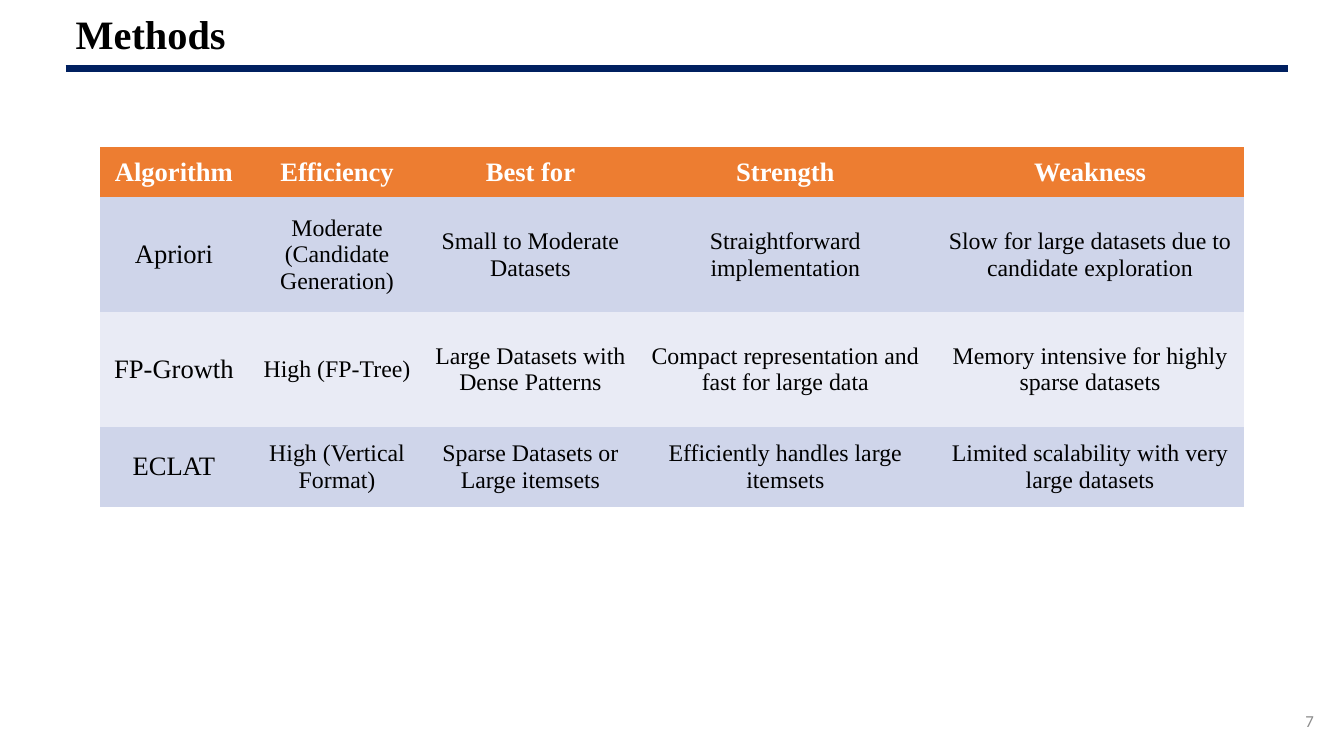
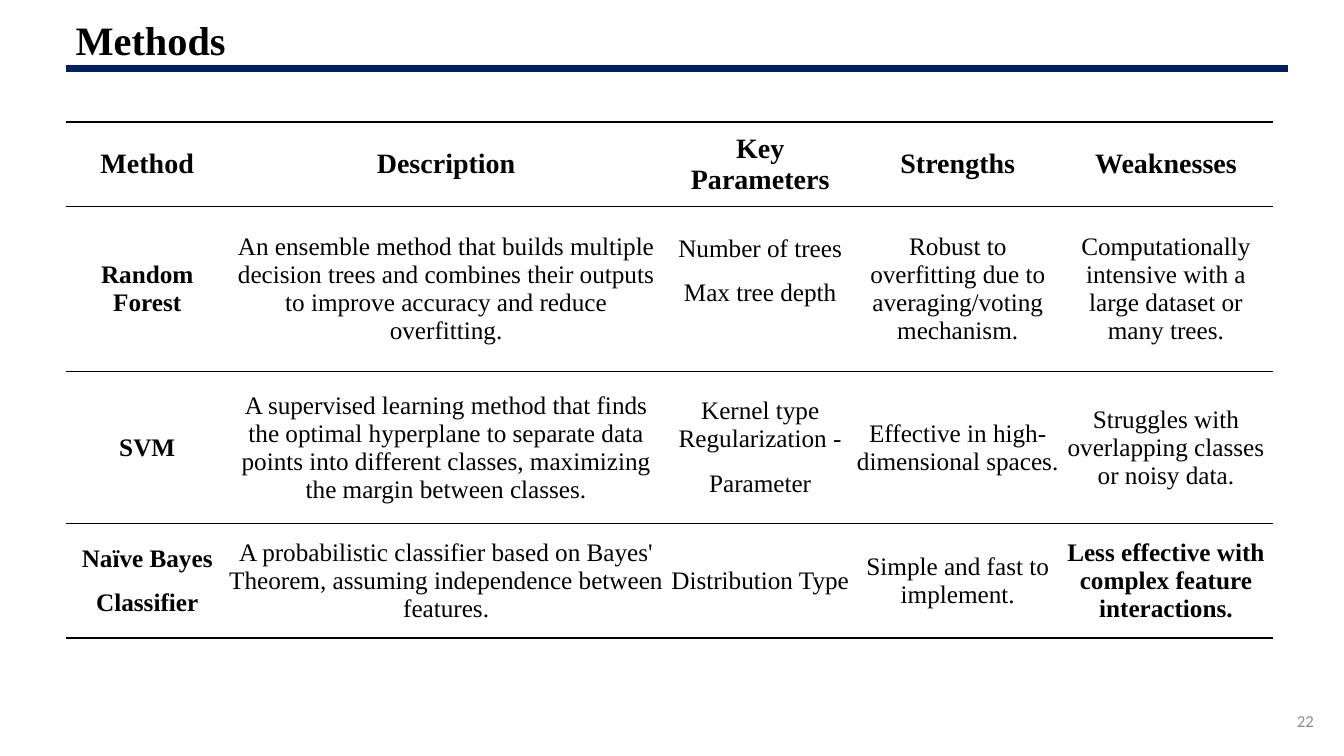
from dataclasses import dataclass

from lxml.etree import SubElement
from pptx import Presentation
from pptx.dml.color import RGBColor
from pptx.enum.shapes import MSO_CONNECTOR
from pptx.enum.text import MSO_ANCHOR, MSO_AUTO_SIZE, PP_ALIGN
from pptx.oxml import parse_xml
from pptx.oxml.ns import nsdecls, qn
from pptx.util import Inches, Pt

NO_TABLE_STYLE = "{2D5ABB26-0587-4C30-8999-92F81FD0307C}"


@dataclass(frozen=True)
class Theme:
    serif: str = "Times New Roman"
    sans: str = "Calibri"
    black: str = "000000"
    white: str = "FFFFFF"
    navy: str = "002060"
    orange: str = "ED7D31"
    gray: str = "8C8C8C"
    bands: tuple = ("CFD5EA", "E9EBF5")
    title_size: float = 28.8
    number_size: float = 12
    rule_width: float = 4.5
    border_width: float = 1


@dataclass(frozen=True)
class TableStyle:
    header_size: float
    label_size: float
    body_size: float
    header_color: str
    header_fill: str
    bands: tuple
    bold_labels: bool
    margins: tuple  # horizontal and vertical, in inches
    border: str = ""


THEME = Theme()
BANDED = TableStyle(19, 19, 17, THEME.white, THEME.orange, THEME.bands,
                    False, (0.07, 0.03))
RULED = TableStyle(20, 18, 18, THEME.black, THEME.white, (THEME.white,),
                   True, (0, 0), THEME.black)


class Deck:
    """Holds the theme and the current slide; lengths are percent of the slide."""

    def __init__(self, theme):
        self.theme = theme
        self.presentation = Presentation()
        self.presentation.slide_width = Inches(13.33)
        self.presentation.slide_height = Inches(7.5)
        self.slide = None

    def across(self, percent):
        return round(self.presentation.slide_width * percent / 100)

    def down(self, percent):
        return round(self.presentation.slide_height * percent / 100)

    def box(self, left, top, width, height):
        return (self.across(left), self.down(top),
                self.across(width), self.down(height))

    def format_text(self, paragraph, size, color, font, bold=False,
                    align=PP_ALIGN.LEFT):
        paragraph.alignment = align
        for run in paragraph.runs:
            run.font.name = font
            run.font.size = Pt(size)
            run.font.bold = bold
            run.font.color.rgb = RGBColor.from_string(color)

    def add_slide(self, title, number, title_top, title_height):
        layout = self.presentation.slide_layouts[5]
        self.slide = self.presentation.slides.add_slide(layout)
        self.add_title(title, title_top, title_height)
        self.add_rule()
        self.add_number(number)

    def add_title(self, text, top, height):
        title = self.slide.shapes.title
        title.left, title.top, title.width, title.height = self.box(
            4.88, top, 78.7, height)
        frame = title.text_frame
        frame.text = text
        frame.auto_size = MSO_AUTO_SIZE.NONE
        frame.vertical_anchor = MSO_ANCHOR.MIDDLE
        paragraph = frame.paragraphs[0]
        paragraph.line_spacing = 0.9
        self.format_text(paragraph, self.theme.title_size, self.theme.black,
                         self.theme.serif, bold=True)

    def add_rule(self):
        height = self.down(9.07)
        rule = self.slide.shapes.add_connector(
            MSO_CONNECTOR.STRAIGHT, self.across(4.88), height,
            self.across(95.87), height)
        rule.line.color.rgb = RGBColor.from_string(self.theme.navy)
        rule.line.width = Pt(self.theme.rule_width)
        SubElement(rule._element.spPr, qn("a:effectLst"))

    def add_number(self, number):
        frame = self.slide.shapes.add_textbox(
            *self.box(76, 92.67, 22.5, 5.33)).text_frame
        frame.word_wrap = True
        frame.vertical_anchor = MSO_ANCHOR.MIDDLE
        frame.text = str(number)
        self.format_text(frame.paragraphs[0], self.theme.number_size,
                         self.theme.gray, self.theme.sans,
                         align=PP_ALIGN.RIGHT)

    def add_table(self, area, columns, rows, content, style):
        """Share the area among columns and rows in proportion to their weights."""
        left, top, width, height = self.box(*area)
        table = self.slide.shapes.add_table(
            len(rows), len(columns), left, top, width, height).table
        table.horz_banding = False
        table._tbl.tblPr.find(qn("a:tableStyleId")).text = NO_TABLE_STYLE
        for column, weight in zip(table.columns, columns):
            column.width = round(width * weight / sum(columns))
        for row, weight in zip(table.rows, rows):
            row.height = round(height * weight / sum(rows))
        for row_index, texts in enumerate(content):
            for column_index, text in enumerate(texts):
                self.fill_cell(table.cell(row_index, column_index), text,
                               row_index, column_index, style)
        return table

    def fill_cell(self, cell, text, row_index, column_index, style):
        horizontal, vertical = map(Inches, style.margins)
        cell.margin_left = cell.margin_right = horizontal
        cell.margin_top = cell.margin_bottom = vertical
        cell.vertical_anchor = MSO_ANCHOR.MIDDLE
        color, bold = self.theme.black, False
        if row_index == 0:
            size, color, bold = style.header_size, style.header_color, True
            fill = style.header_fill
        else:
            fill = style.bands[(row_index - 1) % len(style.bands)]
            size = style.body_size
            if column_index == 0:
                size, bold = style.label_size, style.bold_labels
        cell.fill.solid()
        cell.fill.fore_color.rgb = RGBColor.from_string(fill)
        cell.text_frame.text = text
        for index, paragraph in enumerate(cell.text_frame.paragraphs):
            if index:
                paragraph.space_before = Pt(12)
            self.format_text(paragraph, size, color, self.theme.serif, bold,
                             PP_ALIGN.CENTER)
        if style.border:
            self.rule_cell(cell, style.border)

    def rule_cell(self, cell, color):
        """Draw lines above and below the cell."""
        properties = cell._tc.get_or_add_tcPr()
        for position, side in enumerate(("lnT", "lnB")):
            properties.insert(position, parse_xml(
                f'<a:{side} {nsdecls("a")} w="{Pt(self.theme.border_width)}">'
                f'<a:solidFill><a:srgbClr val="{color}"/></a:solidFill>'
                f'</a:{side}>'))


ALGORITHMS = [
    ["Algorithm", "Efficiency", "Best for", "Strength", "Weakness"],
    ["Apriori", "Moderate (Candidate Generation)",
     "Small to Moderate Datasets", "Straightforward implementation",
     "Slow for large datasets due to candidate exploration"],
    ["FP-Growth", "High (FP-Tree)", "Large Datasets with Dense Patterns",
     "Compact representation and fast for large data",
     "Memory intensive for highly sparse datasets"],
    ["ECLAT", "High (Vertical Format)", "Sparse Datasets or Large itemsets",
     "Efficiently handles large itemsets",
     "Limited scalability with very large datasets"],
]

CLASSIFIERS = [
    ["Method", "Description", "Key Parameters", "Strengths", "Weaknesses"],
    ["Random Forest",
     "An ensemble method that builds multiple decision trees and combines "
     "their outputs to improve accuracy and reduce overfitting.",
     "Number of trees\nMax tree depth",
     "Robust to overfitting due to averaging/voting mechanism.",
     "Computationally intensive with a large dataset or many trees."],
    ["SVM",
     "A supervised learning method that finds the optimal hyperplane to "
     "separate data points into different classes, maximizing the margin "
     "between classes.",
     "Kernel type Regularization -\nParameter",
     "Effective in high-dimensional spaces.",
     "Struggles with overlapping classes or noisy data."],
    ["Naïve Bayes\nClassifier",
     "A probabilistic classifier based on Bayes' Theorem, assuming "
     "independence between features.",
     "Distribution Type", "Simple and fast to implement.",
     "Less effective with complex feature interactions."],
]


def main():
    deck = Deck(THEME)

    deck.add_slide("Methods", 7, title_top=2.27, title_height=5.2)
    deck.add_table((7.43, 19.47, 85.15, 47.6), (1.47, 1.77, 2.07, 2.99, 3.06),
                   (0.5, 1.14, 1.14, 0.8), ALGORITHMS, BANDED)

    deck.add_slide("Methods", 22, title_top=2, title_height=7.33)
    classifiers = deck.add_table(
        (4.88, 16.13, 89.87, 68.27), (1.62, 4.31, 1.92, 2, 2.13),
        (0.84, 1.63, 1.51, 1.13), CLASSIFIERS, RULED)
    classifiers.cell(1, 2).margin_bottom = Inches(0.36)
    last_weakness = classifiers.cell(3, 4).text_frame.paragraphs[0]
    last_weakness.runs[0].font.bold = True

    deck.presentation.save("out.pptx")


if __name__ == "__main__":
    main()
